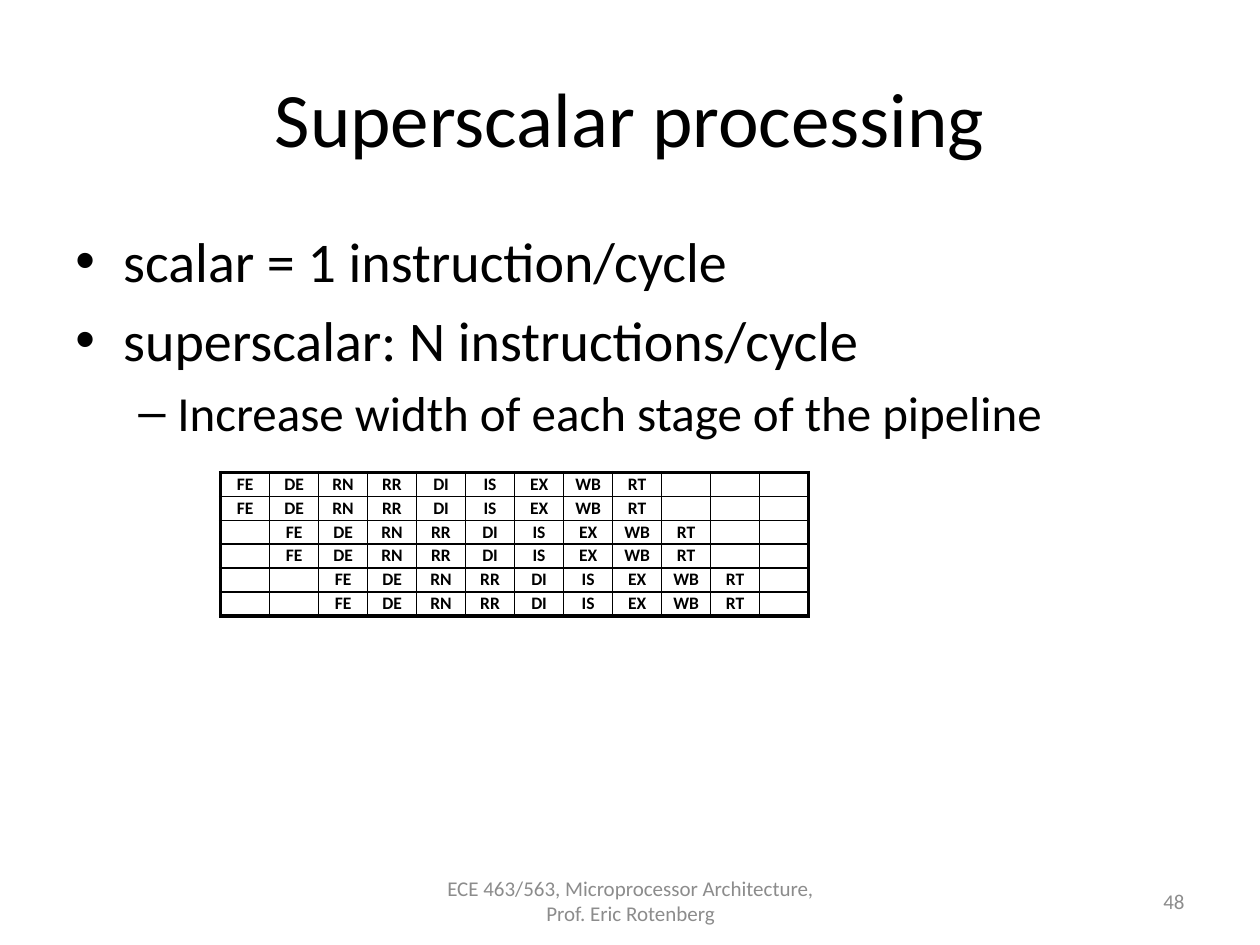
from dataclasses import dataclass

from lxml.etree import SubElement
from pptx import Presentation
from pptx.dml.color import RGBColor
from pptx.enum.text import MSO_ANCHOR, PP_ALIGN
from pptx.oxml.ns import qn
from pptx.slide import Slide
from pptx.util import Inches, Pt

BLACK = RGBColor(0x00, 0x00, 0x00)
GRAY = RGBColor(0x8C, 0x8C, 0x8C)

STAGES = ["FE", "DE", "RN", "RR", "DI", "IS", "EX", "WB", "RT"]
CYCLES = 12
INSTRUCTIONS = 6
WIDTH = 2
THIN, THICK = 1, 2.25

POINTS = [
    ("scalar = 1 instruction/cycle", "•", 32, 0.38, 0.38, 0),
    ("superscalar: N instructions/cycle", "•", 32, 0.38, 0.38, 6.4),
    ("Increase width of each stage of the pipeline", "–", 28, 0.81, 0.31, 5.6),
]


def write(paragraph, text, font="Calibri", size=12, color=BLACK, bold=False,
          align=PP_ALIGN.LEFT, before=0, spacing=1.0):
    paragraph.alignment = align
    paragraph.line_spacing = spacing
    paragraph.space_before = Pt(before)
    run = paragraph.add_run()
    run.text = text
    run.font.name = font
    run.font.size = Pt(size)
    run.font.bold = bold
    run.font.color.rgb = color


def add_bullet(paragraph, mark, margin, hanging):
    properties = paragraph._p.get_or_add_pPr()
    properties.set("marL", str(Inches(margin)))
    properties.set("indent", str(-Inches(hanging)))
    SubElement(properties, qn("a:buFont"), typeface="Arial")
    SubElement(properties, qn("a:buChar"), char=mark)


def add_border(cell, side, width):
    line = SubElement(cell._tc.get_or_add_tcPr(), qn(f"a:ln{side}"), w=str(Pt(width)))
    fill = SubElement(line, qn("a:solidFill"))
    SubElement(fill, qn("a:srgbClr"), val=str(BLACK))


@dataclass
class SlideBuilder:
    slide: Slide
    font: str = "Calibri"

    def title(self, text, left, top, width, height):
        heading = self.slide.shapes.title
        heading.left, heading.top = Inches(left), Inches(top)
        heading.width, heading.height = Inches(width), Inches(height)
        heading.text_frame.vertical_anchor = MSO_ANCHOR.MIDDLE
        write(heading.text_frame.paragraphs[0], text, font=self.font, size=44,
              align=PP_ALIGN.CENTER)

    def frame(self, left, top, width, height, anchor):
        box = self.slide.shapes.add_textbox(
            Inches(left), Inches(top), Inches(width), Inches(height))
        box.text_frame.word_wrap = True
        box.text_frame.vertical_anchor = anchor
        return box.text_frame

    def bullets(self, points, left, top, width, height):
        body = self.frame(left, top, width, height, MSO_ANCHOR.TOP)
        for index, (text, mark, size, margin, hanging, before) in enumerate(points):
            point = body.add_paragraph() if index else body.paragraphs[0]
            add_bullet(point, mark, margin, hanging)
            write(point, text, font=self.font, size=size, before=before)

    def footer(self, text, left, width, align):
        note = self.frame(left, 6.95, width, 0.4, MSO_ANCHOR.MIDDLE)
        write(note.paragraphs[0], text, font=self.font, color=GRAY, align=align)

    def pipeline(self, left, top, width, height):
        grid = self.slide.shapes.add_table(
            INSTRUCTIONS, CYCLES, Inches(left), Inches(top),
            Inches(width), Inches(height)).table
        grid.first_row = grid.horz_banding = False
        for instruction in range(INSTRUCTIONS):
            start = instruction // WIDTH
            for cycle in range(CYCLES):
                stage = cycle - start
                label = STAGES[stage] if 0 <= stage < len(STAGES) else ""
                self.stage_cell(grid.cell(instruction, cycle), label, {
                    "L": cycle == 0,
                    "R": cycle == CYCLES - 1,
                    "T": instruction == 0,
                    "B": instruction == INSTRUCTIONS - 1,
                })

    def stage_cell(self, cell, label, outer_sides):
        cell.margin_left = cell.margin_right = 0
        cell.margin_top = cell.margin_bottom = 0
        cell.vertical_anchor = MSO_ANCHOR.MIDDLE
        for side, outer in outer_sides.items():
            add_border(cell, side, THICK if outer else THIN)
        cell.fill.background()
        paragraph = cell.text_frame.paragraphs[0]
        if label:
            write(paragraph, label, font=self.font, size=10, bold=True,
                  align=PP_ALIGN.CENTER, spacing=0.9)
        else:
            SubElement(paragraph._p, qn("a:endParaRPr"), sz="1000")


def main():
    deck = Presentation()
    deck.slide_width, deck.slide_height = Inches(10), Inches(7.5)
    builder = SlideBuilder(deck.slides.add_slide(deck.slide_layouts[5]))
    builder.title("Superscalar processing", 0.5, 0.3, 9, 1.25)
    builder.bullets(POINTS, 0.5, 1.75, 9, 4.95)
    builder.footer("ECE 463/563, Microprocessor Architecture, Prof. Eric Rotenberg",
                   3.42, 3.17, PP_ALIGN.CENTER)
    builder.footer("48", 7.17, 2.33, PP_ALIGN.RIGHT)
    builder.pipeline(1.75, 3.75, 4.67, 1.14)
    deck.save("out.pptx")


if __name__ == "__main__":
    main()
